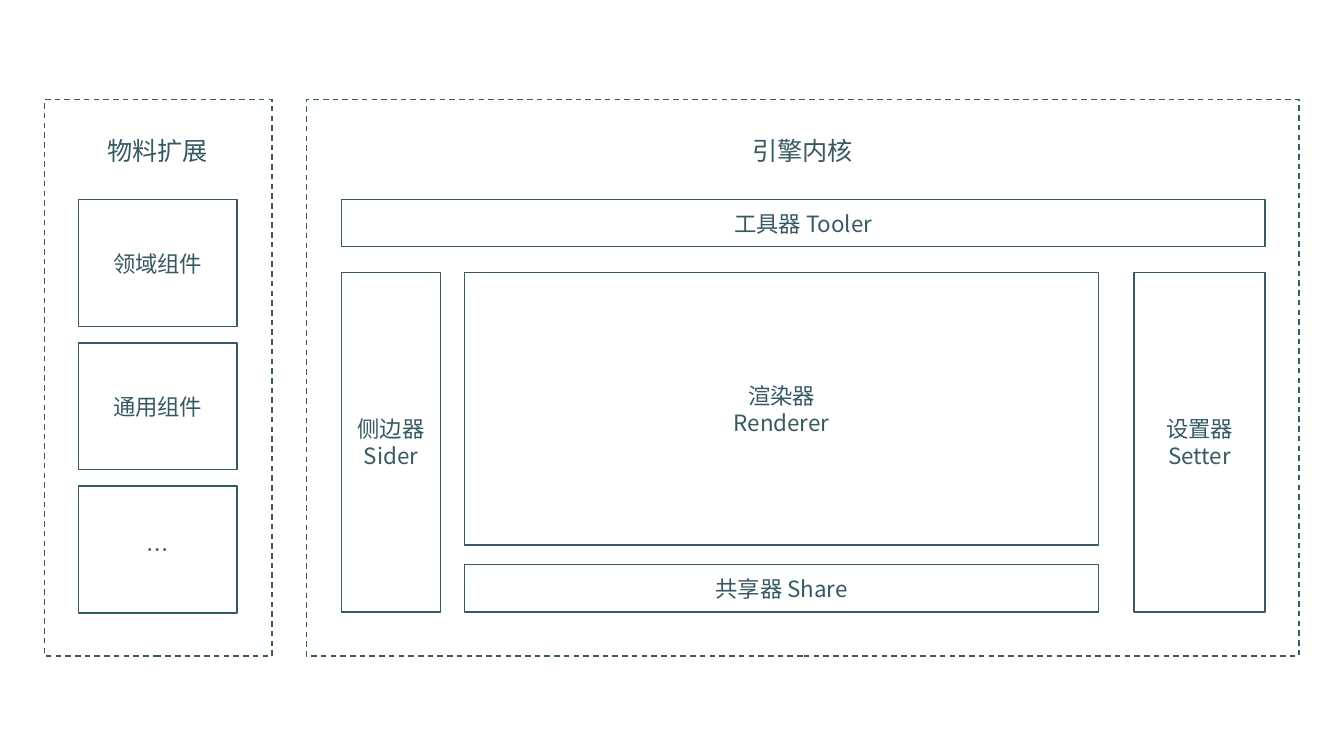
from dataclasses import dataclass

from lxml import etree
from pptx import Presentation
from pptx.dml.color import RGBColor
from pptx.enum.dml import MSO_LINE
from pptx.enum.shapes import MSO_SHAPE
from pptx.enum.text import MSO_ANCHOR, MSO_AUTO_SIZE, PP_ALIGN
from pptx.oxml.ns import qn
from pptx.util import Cm, Pt

RECT = MSO_SHAPE.RECTANGLE
DASH = MSO_LINE.DASH
MIDDLE = MSO_ANCHOR.MIDDLE
CENTER = PP_ALIGN.CENTER
GROW = MSO_AUTO_SIZE.SHAPE_TO_FIT_TEXT


@dataclass(frozen=True)
class Theme:
    ink: RGBColor = RGBColor(0x36, 0x59, 0x63)
    font: str = "Noto Sans CJK SC"
    head: Pt = Pt(18)
    label: Pt = Pt(16)
    line: Pt = Pt(1)


theme = Theme()


def write(frame, lines, size):
    """Fill a text frame with centred lines in the theme's font."""
    style = {"size": size, "name": theme.font}
    for i, line in enumerate(lines):
        para = frame.paragraphs[0] if i == 0 else frame.add_paragraph()
        para.alignment = CENTER
        run = para.add_run()
        run.text = line
        for key, value in style.items():
            setattr(run.font, key, value)
        run.font.color.rgb = theme.ink
        # East Asian text takes its own typeface
        asian = etree.SubElement(run._r.get_or_add_rPr(), qn("a:ea"))
        asian.set("typeface", theme.font)


def frame_box(left, top, width, height):
    """Draw an outlined box without fill."""
    box = slide.shapes.add_shape(RECT, Cm(left), Cm(top), Cm(width), Cm(height))
    box.shadow.inherit = False
    box.fill.background()
    box.line.color.rgb = theme.ink
    box.line.width = theme.line
    return box


deck = Presentation()
deck.slide_width, deck.slide_height = Cm(33.87), Cm(19.05)
slide = deck.slides.add_slide(deck.slide_layouts[6])

# Dashed panels with their headings
panels = [
    ("物料扩展", 1.12, 5.74, 2.44),
    ("引擎内核", 7.72, 25.02, 18.69),
]
for title, left, width, start in panels:
    panel = frame_box(left, 2.51, width, 14.02)
    panel.line.dash_style = DASH
    head = slide.shapes.add_textbox(Cm(start), Cm(3.28), Cm(3.07), Cm(1.02))
    for key, value in {"word_wrap": False, "auto_size": GROW}.items():
        setattr(head.text_frame, key, value)
    write(head.text_frame, [title], theme.head)

# Stacked material cards on the left
top, row = 5.03, 6.86
step = 3.61
cards = ["领域组件", "通用组件", "…"]
boxes = [([name], 1.98, top + i * step, 3.99, 3.2) for i, name in enumerate(cards)]

# Engine parts: a bar on top, two side columns, two boxes between
side, mid, wide = 8.61, 11.71, 15.98
bar, tall = 1.19, 8.56
boxes += [
    (["工具器 Tooler"], side, top, 23.27, bar),
    (["侧边器", "Sider"], side, row, 2.49, tall),
    (["渲染器", "Renderer"], mid, row, wide, 6.88),
    (["共享器 Share"], mid, row + tall - bar, wide, bar),
    (["设置器", "Setter"], 28.58, row, 3.3, tall),
]
for lines, *place in boxes:
    frame = frame_box(*place).text_frame
    for key, value in {"word_wrap": True, "vertical_anchor": MIDDLE}.items():
        setattr(frame, key, value)
    write(frame, lines, theme.label)

deck.save("out.pptx")
